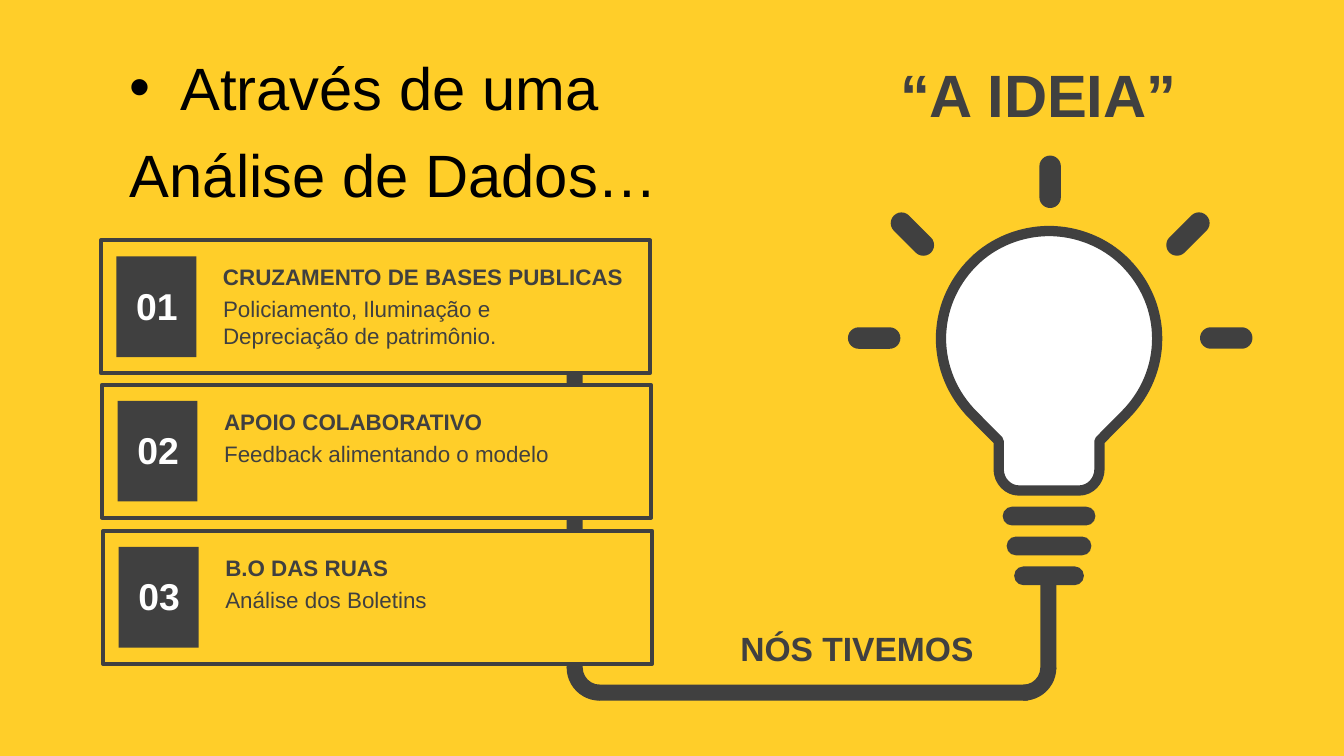
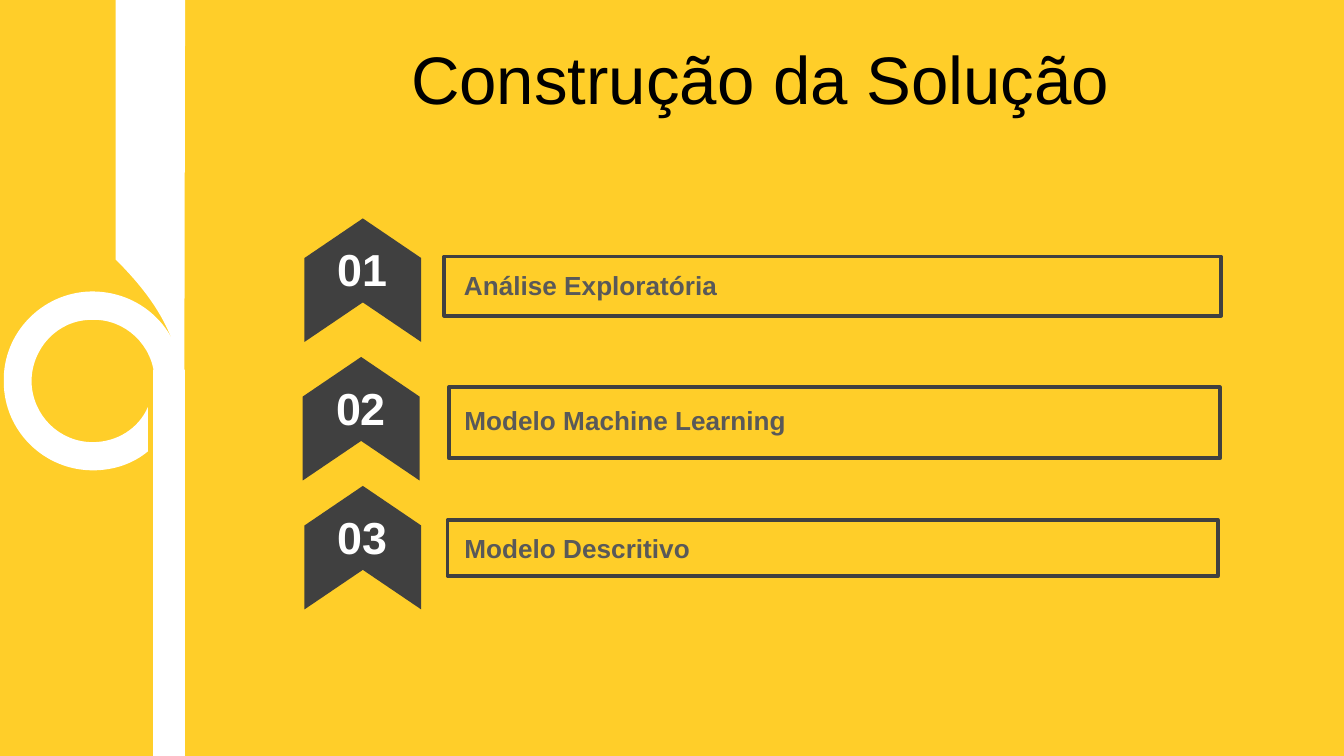
from dataclasses import dataclass

from lxml.etree import SubElement
from pptx import Presentation
from pptx.dml.color import RGBColor
from pptx.enum.shapes import MSO_SHAPE
from pptx.enum.text import MSO_ANCHOR, MSO_AUTO_SIZE, PP_ALIGN
from pptx.oxml.ns import qn
from pptx.util import Pt


@dataclass(frozen=True)
class Theme:
    font: str = "Arial"
    sun: RGBColor = RGBColor(0xFF, 0xCE, 0x29)
    dark: RGBColor = RGBColor(0x40, 0x40, 0x40)
    grey: RGBColor = RGBColor(0x59, 0x59, 0x59)
    white: RGBColor = RGBColor(0xFF, 0xFF, 0xFF)
    black: RGBColor = RGBColor(0, 0, 0)
    title: int = 36
    head: int = 32
    step: int = 24
    badge: int = 20
    label: int = 18
    item: int = 14
    body: int = 12
    edge: float = 2
    bulb: float = 5.5


T = Theme()
LEFT, MID, RIGHT = PP_ALIGN.LEFT, PP_ALIGN.CENTER, PP_ALIGN.RIGHT
TOP, HALF = MSO_ANCHOR.TOP, MSO_ANCHOR.MIDDLE

# Name, text, top
CARDS = [
    ("CRUZAMENTO DE BASES PUBLICAS",
     "Policiamento, Iluminação e Depreciação de patrimônio.", 128.7),
    ("APOIO COLABORATIVO", "Feedback alimentando o modelo", 206.1),
    ("B.O DAS RUAS", "Análise dos Boletins", 284.4),
]

# Label, its box and alignment, frame box, arrow left and top
STEPS = [
    ("Análise Exploratória", (194.4, 139.3, 244.1, 25.2), MID,
     (238, 137.5, 416.2, 31.7), (161.3, 118.8)),
    ("Modelo Machine Learning", (240.5, 211.7, 221.8, 25.2), LEFT,
     (240.5, 207.4, 413, 38.2), (160.4, 193)),
    ("Modelo Descritivo", (240.5, 280.5, 239, 25.2), LEFT,
     (239.8, 278.5, 412.6, 30.2), (161.3, 262.1)),
]

# Outlines: a pair is a line's end, a triple of pairs is a Bézier curve
BULB = [
    (562, 123.8),
    ((576.7, 123.8), (591.8, 129.6), (602.6, 140.4)),
    ((625.7, 163.4), (625.7, 199.4), (602.6, 222.5)),
    (589, 236.2), (589, 251.3),
    ((589, 257.8), (583.9, 262.8), (578.2, 262.8)),
    (545.8, 262.8),
    ((540.1, 262.8), (535, 257.8), (535, 251.3)),
    (535, 236.2), (521.4, 222.5),
    ((498.3, 199.4), (498.3, 163.4), (521.4, 140.4)),
    ((532.2, 129.6), (547.3, 123.8), (562, 123.8)),
]
RING = [
    (48.2, 156.2),
    ((74.9, 155.5), (96.5, 175.7), (97.9, 202.3)),
    (82.8, 203),
    ((82.1, 185), (67, 170.6), (49, 171.4)),
    ((31, 171.4), (16.9, 186.5), (16.9, 204.5)),
    ((17.3, 222.5), (31.7, 236.9), (49.7, 236.9)),
    ((62.6, 236.9), (74.2, 229.7), (79.2, 218.2)),
    (79.2, 241.9),
    ((71.3, 248.4), (61.2, 252), (49.7, 252)),
    ((23.8, 252), (2, 231.1), (2, 204.5)),
    ((1.4, 178.6), (22.3, 157), (48.2, 156.2)),
]
STRIP = [
    (62, 0), (99.2, 0), (98.8, 214.6),
    ((97.2, 181.4), (83.5, 160.6), (62, 139)),
]


def paint(shape, fill=None, line=None, width=T.edge):
    shape.shadow.inherit = False
    if fill is None:
        shape.fill.background()
    else:
        shape.fill.solid()
        shape.fill.fore_color.rgb = fill
    if line is None:
        shape.line.fill.background()
    else:
        shape.line.color.rgb = line
        shape.line.width = Pt(width)


def block(slide, kind, box, fill=None, line=None, turn=0, adj=()):
    shape = slide.shapes.add_shape(kind, *map(Pt, box))
    paint(shape, fill, line)
    shape.rotation = turn % 360
    for i, value in enumerate(adj):
        shape.adjustments[i] = value
    return shape


def bar(slide, box, fill=T.dark, line=None):
    block(slide, MSO_SHAPE.RECTANGLE, box, fill, line)


def pill(slide, x, y, w, h, turn=0):
    """Rounded bar, placed by its centre."""
    box = (x - w / 2, y - h / 2, w, h)
    block(slide, MSO_SHAPE.ROUNDED_RECTANGLE, box, T.dark, turn=turn, adj=[0.5])


def write(frame, lines, size, color, bold=False, align=LEFT, anchor=TOP):
    frame.word_wrap = True
    frame.auto_size = MSO_AUTO_SIZE.NONE
    frame.vertical_anchor = anchor
    frame.text = "\n".join(lines)
    for para in frame.paragraphs:
        para.alignment = align
        font = para.font
        font.name, font.size, font.bold = T.font, Pt(size), bold
        font.color.rgb = color


def label(slide, box, text, size, color=T.dark, bold=True, **place):
    shape = slide.shapes.add_textbox(*map(Pt, box))
    write(shape.text_frame, [text], size, color, bold, **place)
    return shape.text_frame


def head(slide, box, lines, size, **place):
    shape = slide.shapes.title
    shape.left, shape.top, shape.width, shape.height = map(Pt, box)
    write(shape.text_frame, lines, size, T.black, **place)
    return shape.text_frame


def bullet(para, indent):
    props = para._p.get_or_add_pPr()
    props.set("marL", str(Pt(indent)))
    props.set("indent", str(-Pt(indent)))
    SubElement(props, qn("a:buFont")).set("typeface", T.font)
    SubElement(props, qn("a:buChar")).set("char", "•")


def curved(part):
    return isinstance(part[0], tuple)


def draw(slide, parts, fill, line=None, width=T.edge):
    ends = [part[-1] if curved(part) else part for part in parts]
    # The widest reach of each curve sets the frame
    reach = [ends[0]]
    for last, part, end in zip(ends, parts[1:], ends[1:]):
        if curved(part):
            for t in (0.25, 0.5, 0.75):
                u = 1 - t
                mix = (u ** 3, 3 * u * u * t, 3 * u * t * t, t ** 3)
                reach.append(tuple(sum(m * p[k] for m, p in zip(mix, (last, *part)))
                                   for k in (0, 1)))
        reach.append(end)
    start, *rest = [(Pt(x), Pt(y)) for x, y in reach]
    pen = slide.shapes.build_freeform(*start)
    pen.add_line_segments(rest, close=True)
    shape = pen.convert_to_shape()
    paint(shape, fill, line, width)
    # Put true curves in the outline
    track = next(shape._element.iter(qn("a:path")))
    for old in list(track):
        track.remove(old)
    for i, part in enumerate(parts):
        tag = "a:cubicBezTo" if curved(part) else "a:lnTo" if i else "a:moveTo"
        move = SubElement(track, qn(tag))
        for x, y in part if curved(part) else [part]:
            point = SubElement(move, qn("a:pt"))
            point.set("x", str(Pt(x) - shape.left))
            point.set("y", str(Pt(y) - shape.top))
    SubElement(track, qn("a:close"))


def cable(slide):
    for box in [(303.6, 139.7, 8.6, 218.2), (321, 366.8, 229.7, 8.6),
                (557.3, 313.2, 8.6, 45.4)]:
        bar(slide, box)
    # Corners: a quarter arc from 90 to 180 degrees
    for x, turn in [(303.6, 0), (530.5, 270)]:
        block(slide, MSO_SHAPE.BLOCK_ARC, (x, 340, 35.4, 35.4), T.dark,
              turn=turn, adj=[54, 108.17, 0.243])


def card(slide, i, name, text, y):
    x = 54 + 0.6 * i
    bar(slide, (x, y, 294.2, 71.3), T.sun, T.dark)
    bar(slide, (x + 8.4, y + 8.6, 42.8, 54))
    label(slide, (x + 58.4, y + 26, 226.8, 36), text, T.body, bold=False)
    label(slide, (x + 58.4, y + 8.8, 237.6, 21.6), name, T.body)
    frame = label(slide, (x + 11.6, y + 19.4, 36.7, 31.7), f"{i + 1:02}",
                  T.badge, T.white, align=RIGHT)
    frame.word_wrap = False


def lamp(slide):
    draw(slide, BULB, T.white, T.dark, T.bulb)
    # Screw base
    for i, width in enumerate((49.7, 45.4, 37.4)):
        pill(slide, 562, 276.5 + 16 * i, width, 10.1)
    # Rays
    pill(slide, 562.6, 97.4, 11.5, 28.1)
    for side in (-1, 1):
        for dx, y, turn in [(73.8, 125.4, 45), (94.3, 181.1, 90)]:
            pill(slide, 562.6 + side * dx, y, 11.5, 28.1, side * turn)


def idea(slide):
    frame = head(slide, (62.4, 23.8, 720, 22.3),
                 ["Através de uma", "Análise de Dados…"], T.head)
    first, second = frame.paragraphs
    bullet(first, 27)
    for para in (first, second):
        para.line_spacing = 1.0
    first.space_before = Pt(0)
    second.space_before = Pt(8)
    cable(slide)
    for i, row in enumerate(CARDS):
        card(slide, i, *row)
    lamp(slide)
    label(slide, (389.5, 333, 166.3, 28.8), "NÓS TIVEMOS", T.label)
    label(slide, (475.1, 27.4, 166.3, 46.1), "“A IDEIA”", T.head)


def build(slide):
    # Side ornament
    draw(slide, RING, T.white)
    draw(slide, STRIP, T.white)
    bar(slide, (82.1, 198, 17, 219.6), T.white)
    head(slide, (47.3, 18.7, 720, 45.4), ["Construção da Solução"], T.title,
         align=MID, anchor=HALF)
    # Steps
    for i, (text, box, align, edge, (x, y)) in enumerate(STEPS):
        bar(slide, edge, None, T.dark)
        tag = block(slide, MSO_SHAPE.ROUND_2_SAME_RECTANGLE, box)
        write(tag.text_frame, [text], T.item, T.grey, True, align, HALF)
        block(slide, MSO_SHAPE.CHEVRON, (x, y, 66.2, 62.6), T.dark,
              turn=270, adj=[0.339])
        label(slide, (x + 11, y + 7.2, 43.9, 36), f"{i + 1:02}", T.step,
              T.white, align=MID)


def main():
    deck = Presentation()
    deck.slide_width, deck.slide_height = Pt(720), Pt(405)
    back = deck.slide_master.background.fill
    back.solid()
    back.fore_color.rgb = T.sun
    for make in (idea, build):
        make(deck.slides.add_slide(deck.slide_layouts[5]))
    deck.save("out.pptx")


if __name__ == "__main__":
    main()
